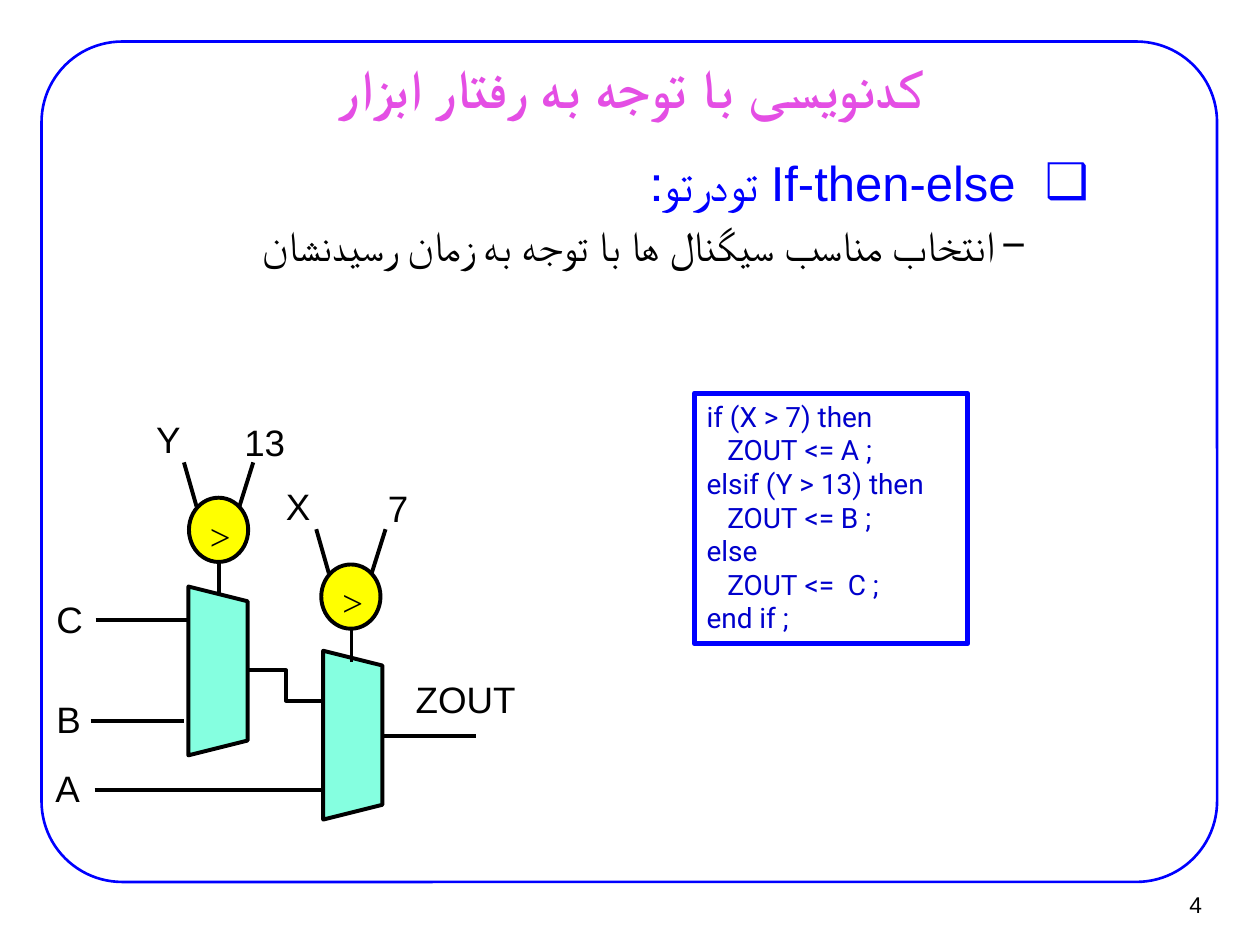
"""Build a slide on nested if-then-else coding with a multiplexer circuit."""
from lxml import etree
from pptx import Presentation
from pptx import util as u
from pptx.dml.color import RGBColor
from pptx.enum import shapes, text
from pptx.oxml.ns import qn

COLORS = {"blue": "0000FF", "code": "0000CC", "pink": "E44EE4", "black": "000000",
          "mint": "85FFE0", "yellow": "FFFF00"}
KIND = shapes.MSO_SHAPE
LINK = shapes.MSO_CONNECTOR

presentation = Presentation()
presentation.slide_width, presentation.slide_height = u.Inches(10), u.Inches(7.5)
slide = presentation.slides.add_slide(presentation.slide_layouts[1])


def add_run(paragraph, words, size, color="black", font="Arial"):
    run = paragraph.add_run()
    run.text = words
    run.font.size = u.Pt(size)
    run.font.name = font
    run.font.color.rgb = RGBColor.from_string(COLORS[color])
    return run


def add_outlined(kind, box, line, width, fill=None):
    shape = slide.shapes.add_shape(kind, *map(u.Inches, box))
    shape.shadow.inherit = False
    shape.line.color.rgb = RGBColor.from_string(COLORS[line])
    shape.line.width = u.Pt(width)
    if fill:
        shape.fill.solid()
        shape.fill.fore_color.rgb = RGBColor.from_string(COLORS[fill])
    else:
        shape.fill.background()
    shape.text_frame.vertical_anchor = text.MSO_ANCHOR.TOP
    shape.text_frame.paragraphs[0].alignment = text.PP_ALIGN.LEFT
    return shape


frame = add_outlined(KIND.ROUNDED_RECTANGLE, (0.33, 0.33, 9.33, 6.67), "blue", 1.5)
frame.adjustments[0] = 0.096

title, body = slide.shapes.title, slide.placeholders[1]
for holder, box in ((title, (0.76, 0.44, 8.5, 0.49)), (body, (0.91, 1.15, 8.34, 1.1))):
    holder.left, holder.top, holder.width, holder.height = map(u.Inches, box)
    holder_frame = holder.text_frame
    holder_frame.auto_size = text.MSO_AUTO_SIZE.NONE
    holder_frame.margin_left = holder_frame.margin_right = u.Inches(0.11)
    holder_frame.margin_top = holder_frame.margin_bottom = u.Inches(0.06)

title.text_frame.vertical_anchor = text.MSO_ANCHOR.MIDDLE
heading = title.text_frame.paragraphs[0]
heading.alignment = text.PP_ALIGN.CENTER
add_run(heading, "کدنویسی با توجه به رفتار ابزار", 31, "pink").font.bold = True

points = [
    ("If-then-else تودرتو:", 28, "blue", "❑", 1.08, -0.58),
    ("انتخاب مناسب سیگنال ها با توجه به زمان رسیدنشان", 24, "black", "−", 1.25, -0.25),
]
body.text_frame.add_paragraph()
for level, (words, size, color, bullet, margin, indent) in enumerate(points):
    paragraph = body.text_frame.paragraphs[level]
    paragraph.level = level
    paragraph.alignment = text.PP_ALIGN.RIGHT
    properties = paragraph._p.get_or_add_pPr()
    properties.set("rtl", "1")
    properties.set("marL", str(u.Inches(margin)))
    properties.set("indent", str(u.Inches(indent)))
    etree.SubElement(properties, qn("a:buChar")).set("char", bullet)
    add_run(paragraph, words, size, color)

number = slide.shapes.add_textbox(*map(u.Inches, (9.02, 6.99, 0.61, 0.37)))
number.text_frame.word_wrap = False
number.text_frame.vertical_anchor = text.MSO_ANCHOR.MIDDLE
number.text_frame.margin_left = number.text_frame.margin_right = u.Inches(0.09)
number.text_frame.paragraphs[0].alignment = text.PP_ALIGN.RIGHT
add_run(number.text_frame.paragraphs[0], "4", 13)

code_lines = ["if (X > 7) then ", "   ZOUT <= A ;", "elsif (Y > 13) then", "   ZOUT <= B ;",
              "else", "   ZOUT <=  C ;", "end if ;"]
code_box = add_outlined(KIND.RECTANGLE, (5.51, 3.12, 2.17, 1.99), "blue", 2.75)
code = code_box.text_frame.paragraphs[0]
for index, code_line in enumerate(code_lines):
    if index:
        code.add_line_break()
    add_run(code, code_line.replace(" ", "\u00a0"), 16, "code", "Roboto")

wires = [
    (LINK.ELBOW, 1.97, 5.32, 2.57, 5.56),
    (LINK.STRAIGHT, 0.76, 4.92, 1.5, 4.92),
    (LINK.STRAIGHT, 0.72, 5.72, 1.46, 5.72),
    (LINK.STRAIGHT, 0.75, 6.27, 2.57, 6.27),
    (LINK.STRAIGHT, 3.04, 5.84, 3.78, 5.84),
]
labels = [
    ("A", 0.34, 6.03, 0.48), ("B", 0.35, 5.48, 0.4), ("C", 0.35, 4.69, 0.4),
    ("ZOUT", 3.2, 5.32, 1.32), ("Y", 1.14, 3.26, 0.4), ("13", 1.84, 3.28, 0.79),
    ("X", 2.17, 3.79, 0.4), ("7", 2.98, 3.81, 0.4),
]

for left, top in ((1.06, 5.09), (2.13, 5.6)):
    multiplexer = add_outlined(KIND.TRAPEZOID, (left, top, 1.34, 0.47), "black", 2.25, "mint")
    multiplexer.rotation = 90

for left, top in ((1.5, 3.95), (2.55, 4.48)):
    wires += [
        (LINK.STRAIGHT, left + 0.24, top + 0.35, left + 0.24, top + 0.77),
        (LINK.STRAIGHT, left - 0.04, top - 0.28, left + 0.06, top + 0.07),
        (LINK.STRAIGHT, left + 0.51, top - 0.28, left + 0.4, top + 0.07),
    ]

for kind, *ends in wires:
    wire = slide.shapes.add_connector(kind, *map(u.Inches, ends))
    wire.line.color.rgb = RGBColor.from_string(COLORS["black"])
    wire.line.width = u.Pt(2.25)
    etree.SubElement(wire._element.spPr, qn("a:effectLst"))

for left, top in ((1.5, 3.95), (2.55, 4.48)):
    comparator = add_outlined(KIND.OVAL, (left, top, 0.47, 0.51), "black", 2.25, "yellow")
    add_run(comparator.text_frame.paragraphs[0], ">", 21, font="Times New Roman")

for words, left, top, width in labels:
    label = slide.shapes.add_textbox(*map(u.Inches, (left, top, width, 0.47)))
    label.text_frame.word_wrap = True
    add_run(label.text_frame.paragraphs[0], words, 21)

presentation.save("out.pptx")
